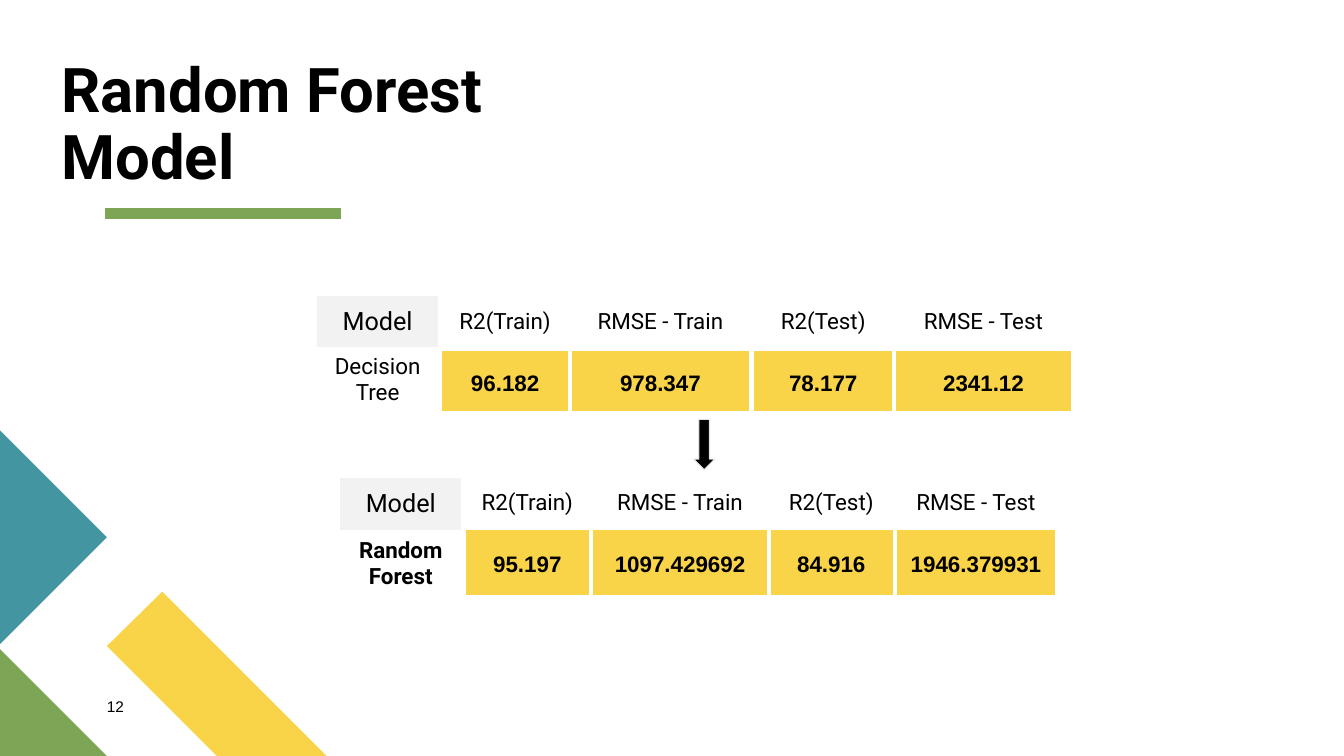
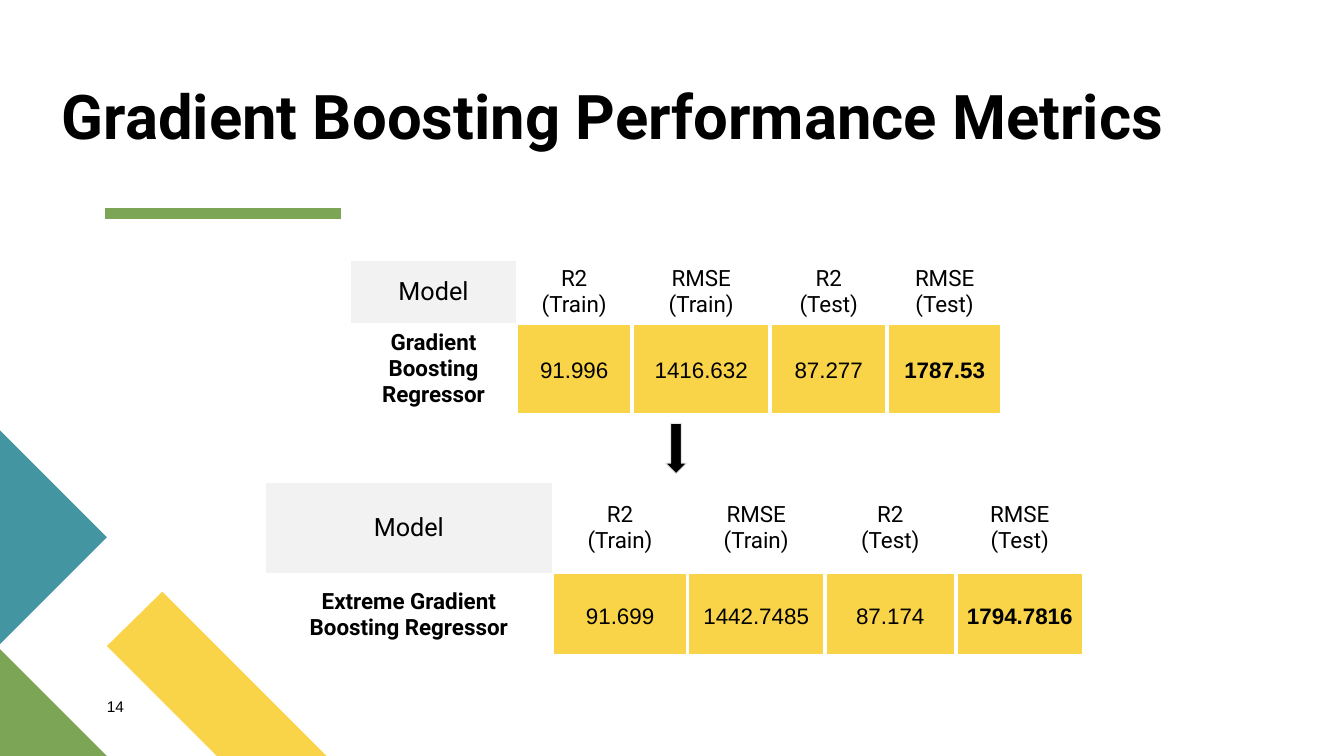
from lxml.etree import SubElement as Sub
from pptx import Presentation
from pptx.dml.color import RGBColor as RGB
from pptx.enum.shapes import MSO_CONNECTOR as Link, MSO_SHAPE as Shape
from pptx.enum.text import MSO_ANCHOR as Anchor, MSO_AUTO_SIZE as Auto, PP_ALIGN as Align
from pptx.oxml import parse_xml as to_xml
from pptx.oxml.ns import nsdecls, qn
from pptx.util import Inches, Pt

WIDTH, HEIGHT = Inches(13.33), Inches(7.5)
UNIT = HEIGHT / 90
BLACK = RGB(0x00, 0x00, 0x00)
WHITE = RGB(0xFF, 0xFF, 0xFF)
GRAY = RGB(0xF2, 0xF2, 0xF2)
EDGE = RGB(0xE4, 0xE4, 0xE4)
YELLOW = RGB(0xF9, 0xD4, 0x48)
GREEN = RGB(0x7C, 0xA6, 0x55)
TEAL = RGB(0x44, 0x95, 0xA2)
HEAD, BODY = "Roboto", "Arial"
TRAIN = ["R2(Train)", "RMSE - Train"]
TEST = ["R2(Test)", "RMSE - Test"]


def span(*units):
    """Turn grid units, 90 to the slide's height, into lengths."""
    return [round(n * UNIT) for n in units]


def write(frame, text, size=16, font=HEAD, bold=False, align=Align.LEFT, space=1.0):
    """Fill a text frame with formatted paragraphs."""
    frame.word_wrap = True
    frame.text = text
    for para in frame.paragraphs:
        para.alignment, para.line_spacing = align, space
        for run in para.runs:
            run.font.size, run.font.name = Pt(size), font
            run.font.bold, run.font.color.rgb = bold, BLACK


def strip(frame):
    """Remove the margins of a text frame."""
    frame.margin_left = frame.margin_right = 0
    frame.margin_top = frame.margin_bottom = 0


def paint(shape, color):
    """Give a shape a plain fill without line or shadow."""
    shape.shadow.inherit = False
    shape.fill.solid()
    shape.fill.fore_color.rgb = color
    shape.line.fill.background()


def poly(slide, color, *points):
    """Draw a filled outline through grid points."""
    start, *rest = [span(*point) for point in points]
    pen = slide.shapes.build_freeform(*start)
    pen.add_line_segments(rest, close=True)
    shape = pen.convert_to_shape()
    paint(shape, color)
    return shape


def rule(slide):
    """Draw the green bar under the title."""
    bar = slide.shapes.add_connector(Link.STRAIGHT, *span(12.48, 25.44, 40.56, 25.44))
    bar.line.color.rgb, bar.line.width = GREEN, Pt(8)
    Sub(bar.element.spPr, qn("a:effectLst"))
    return bar


def dress(layout, slide):
    """Move the shared corner shapes and title bar into the layout."""
    parts = [
        poly(slide, YELLOW, (38.88, 90), (25.8, 90), (12.72, 76.92), (19.32, 70.44)),
        poly(slide, GREEN, (0, 77.28), (12.72, 90), (0, 90)),
        poly(slide, TEAL, (0, 51.24), (12.72, 63.96), (0, 76.68)),
        rule(slide),
    ]
    for part in parts:
        layout.shapes.element.append(part.element)


def clear(layout):
    """Drop the layout's placeholders other than the title."""
    for holder in list(layout.placeholders):
        if holder.placeholder_format.idx:
            holder.element.getparent().remove(holder.element)


def label(slide, title, top, width, number):
    """Set the title and the slide number."""
    head = slide.shapes.title
    head.left, head.top, head.width, head.height = span(7.32, top, width, 8.04)
    frame = head.text_frame
    strip(frame)
    frame.auto_size, frame.vertical_anchor = Auto.NONE, Anchor.BOTTOM
    write(frame, title, size=44, bold=True, space=0.9)
    foot = slide.shapes.add_textbox(*span(12.72, 83.04, 6.84, 3.24)).text_frame
    strip(foot)
    write(foot, number, size=11, font=BODY)


def border(cell, points):
    """Draw white lines at the left, right and bottom of a cell."""
    props = cell.fill and cell._tc.get_or_add_tcPr()
    for spot, side in enumerate(("lnL", "lnR", "lnB")):
        props.insert(spot, to_xml(
            f'<a:{side} {nsdecls("a")} w="{Pt(points)}"><a:solidFill>'
            f'<a:srgbClr val="{WHITE}"/></a:solidFill></a:{side}>'))


def fill(cell, text, color, **form):
    """Color a cell and center its text."""
    cell.fill.solid()
    cell.fill.fore_color.rgb = color
    cell.vertical_anchor = Anchor.MIDDLE
    write(cell.text_frame, text, align=Align.CENTER, **form)


def grid(slide, left, top, cols, rows, heads, values, bold=()):
    """Add a table with one row of heads and one of values."""
    place = span(left, top, sum(cols), sum(rows))
    table = slide.shapes.add_table(2, len(cols), *place).table
    table.first_row = table.horz_banding = False
    for row, size in zip(table.rows, span(*rows)):
        row.height = size
    for n, (size, head, value) in enumerate(zip(span(*cols), heads, values)):
        table.columns[n].width = size
        top_cell, low_cell = table.cell(0, n), table.cell(1, n)
        if head == "Model":
            fill(top_cell, head, GRAY, size=18)
            fill(low_cell, value, WHITE, bold=n in bold)
            border(low_cell, 2.25)
        else:
            fill(top_cell, head, WHITE)
            fill(low_cell, value, YELLOW, font=BODY, bold=n in bold, space=1.15)
            border(low_cell, 3)


def arrow(slide, left, top):
    """Add a black arrow that points down."""
    shape = slide.shapes.add_shape(Shape.DOWN_ARROW, *span(left, top, 2.52, 6))
    paint(shape, BLACK)
    shape.line.color.rgb, shape.line.width = EDGE, Pt(0.75)


def forest(slide):
    """Compare the decision tree with the random forest."""
    label(slide, "Random Forest\vModel", 14.88, 72.6, "12")
    low, high, both = (6.24, 8.04), (6.84, 7.44), (0, 1)
    grid(slide, 40.44, 56.88, [14.52], low, ["Model"], ["Random Forest"], both)
    grid(slide, 37.68, 35.16, [14.52], (6.24, 6.72), ["Model"], ["Decision\nTree"])
    arrow(slide, 82.56, 49.92)
    grid(slide, 89.52, 34.92, [16.92, 21.24], high, TEST, ["78.177", "2341.12"], both)
    grid(slide, 52.44, 34.92, [15.36, 21.6], high, TRAIN, ["96.182", "978.347"], both)
    grid(slide, 91.32, 56.76, [15.24, 19.2], low, TEST, ["84.916", "1946.379931"], both)
    grid(slide, 55.2, 56.76, [15.12, 21.24], low, TRAIN, ["95.197", "1097.429692"], both)


def boost(slide):
    """Compare the two boosting regressors."""
    label(slide, "Gradient Boosting Performance Metrics", 10.2, 136.68, "14")
    heads = ["Model", "R2\n(Train)", "RMSE (Train)", "R2\n(Test)", "RMSE\n(Test)"]
    grid(slide, 41.76, 30.96, [19.68, 13.8, 16.44, 13.92, 13.68], (7.08, 7.2), heads,
         ["Gradient Boosting Regressor", "91.996", "1416.632", "87.277", "1787.53"], (0, 4))
    grid(slide, 31.56, 57.48, [34.2, 16.08, 16.32, 15.6, 15.24], (10.8, 9.84), heads,
         ["Extreme Gradient Boosting Regressor", "91.699", "1442.7485", "87.174", "1794.7816"],
         (0, 4))
    arrow(slide, 79.2, 50.4)


def main():
    """Build and save the deck."""
    deck = Presentation()
    deck.slide_width, deck.slide_height = WIDTH, HEIGHT
    layout = deck.slide_layouts[5]
    clear(layout)
    first, second = [deck.slides.add_slide(layout) for _ in range(2)]
    dress(layout, first)
    forest(first)
    boost(second)
    deck.save("out.pptx")


if __name__ == "__main__":
    main()
